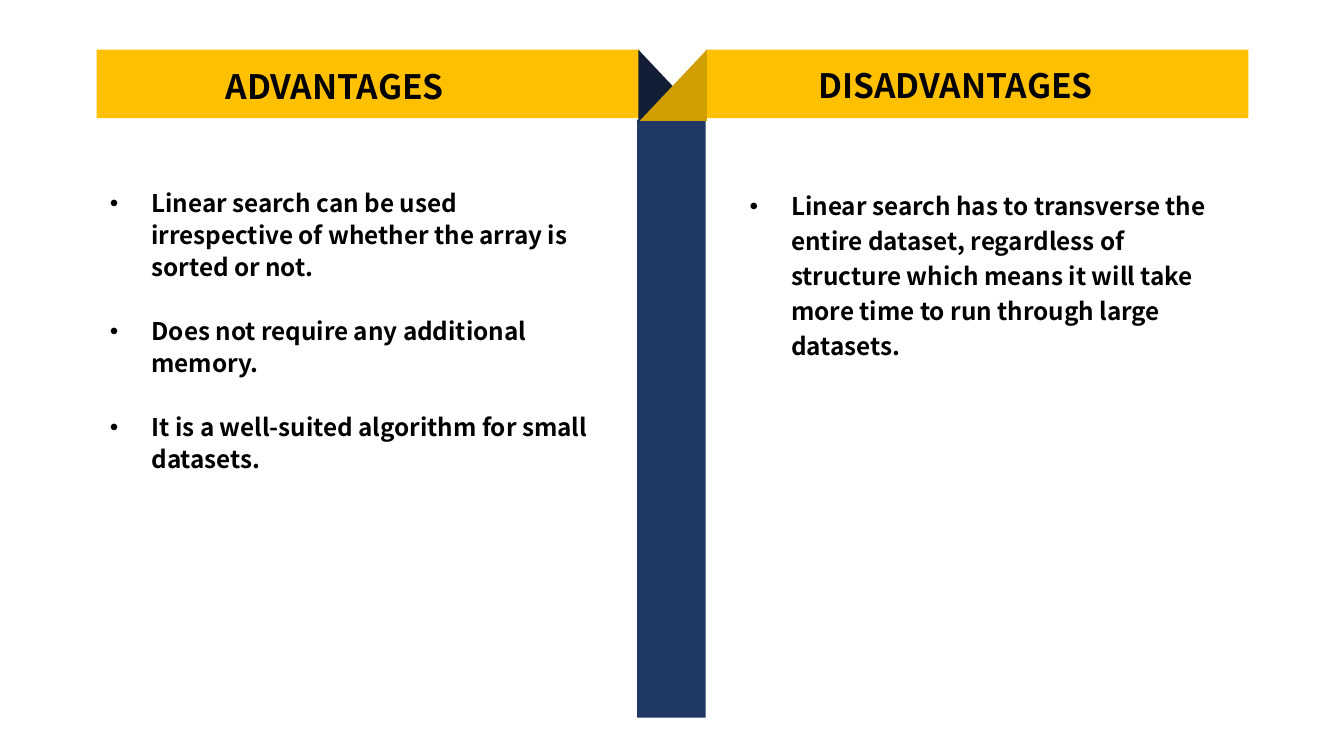
import pptx
import pptx.util
import pptx.dml.color
import pptx.enum.shapes
import pptx.enum.text
import pptx.oxml.ns
import lxml.etree

WIDTH = 10
HEIGHT = WIDTH * 9 / 16
FONT = "Noto Sans CJK SC"
SHAPES = pptx.enum.shapes.MSO_SHAPE
INDENT = pptx.util.Inches(0.31)
TOP = 0.37
BANNER_WIDTH, BANNER_HEIGHT = 4.04, 0.51
FOLD_HEIGHT = 0.53


def color(code):
    return pptx.dml.color.RGBColor.from_string(code)


def inches(box):
    return [pptx.util.Inches(length) for length in box]


def add_block(page, kind, box, fill):
    block = page.shapes.add_shape(kind, *inches(box))
    block.shadow.inherit = False
    block.fill.solid()
    block.fill.fore_color.rgb = color(fill)
    block.line.fill.background()
    return block


def style_paragraph(para, size):
    para.font.name = FONT
    para.font.size = pptx.util.Pt(size)
    para.font.bold = True
    para.font.color.rgb = color("000000")


def add_heading(page, box, text):
    frame = page.shapes.add_textbox(*inches(box)).text_frame
    frame.word_wrap = True
    frame.vertical_anchor = pptx.enum.text.MSO_ANCHOR.MIDDLE
    para = frame.paragraphs[0]
    para.text = text
    para.alignment = pptx.enum.text.PP_ALIGN.CENTER
    style_paragraph(para, 18)


def add_bullet(para):
    properties = para._p.get_or_add_pPr()
    properties.set("marL", str(INDENT))
    properties.set("indent", str(-INDENT))
    for tag, name, value in (("a:buFont", "typeface", "Arial"), ("a:buChar", "char", "•")):
        mark = lxml.etree.SubElement(properties, pptx.oxml.ns.qn(tag))
        mark.set(name, value)


def add_points(page, box, points, spacing):
    frame = page.shapes.add_textbox(*inches(box)).text_frame
    frame.word_wrap = True
    for index, point in enumerate(points):
        para = frame.add_paragraph() if index else frame.paragraphs[0]
        para.text = point
        para.line_spacing = spacing
        para.space_before = pptx.util.Pt(17.1 if index else 0)
        add_bullet(para)
        style_paragraph(para, 13)


def add_divider(page, box):
    add_block(page, SHAPES.RECTANGLE, box, "203864")


def add_fold(page, box):
    left, top, width, height = box
    add_block(page, SHAPES.RIGHT_TRIANGLE, box, "111E35")
    front = add_block(page, SHAPES.RIGHT_TRIANGLE, (left + 0.01, top, width, height), "D09E00")
    front._element.spPr.get_or_add_xfrm().set("flipH", "1")


def add_column(page, left, heading, title, body, points, spacing):
    add_block(page, SHAPES.RECTANGLE, (left, TOP, BANNER_WIDTH, BANNER_HEIGHT), "FFC000")
    add_heading(page, heading, title)
    add_points(page, body, points, spacing)


def main():
    deck = pptx.Presentation()
    deck.slide_width, deck.slide_height = inches((WIDTH, HEIGHT))
    page = deck.slides.add_slide(deck.slide_layouts[6])
    add_divider(page, (4.74, 0.89, 0.51, 4.45))
    add_column(
        page, 0.72, (1.23, 0.44, 2.52, 0.4), "ADVANTAGES",
        (0.72, 1.33, 3.86, 3.21),
        ["Linear search can be used irrespective of whether the array is sorted or not.",
         "Does not require any additional memory.",
         "It is a well-suited algorithm for small datasets."], 1.1)
    add_column(
        page, 5.25, (5.85, 0.43, 2.52, 0.4), "DISADVANTAGES",
        (5.48, 1.33, 3.81, 2.68),
        ["Linear search has to transverse the entire dataset, regardless of structure "
         "which means it will take more time to run through large datasets."], 1.2)
    add_fold(page, (4.75, TOP, 0.5, FOLD_HEIGHT))
    deck.save("out.pptx")


if __name__ == "__main__":
    main()
